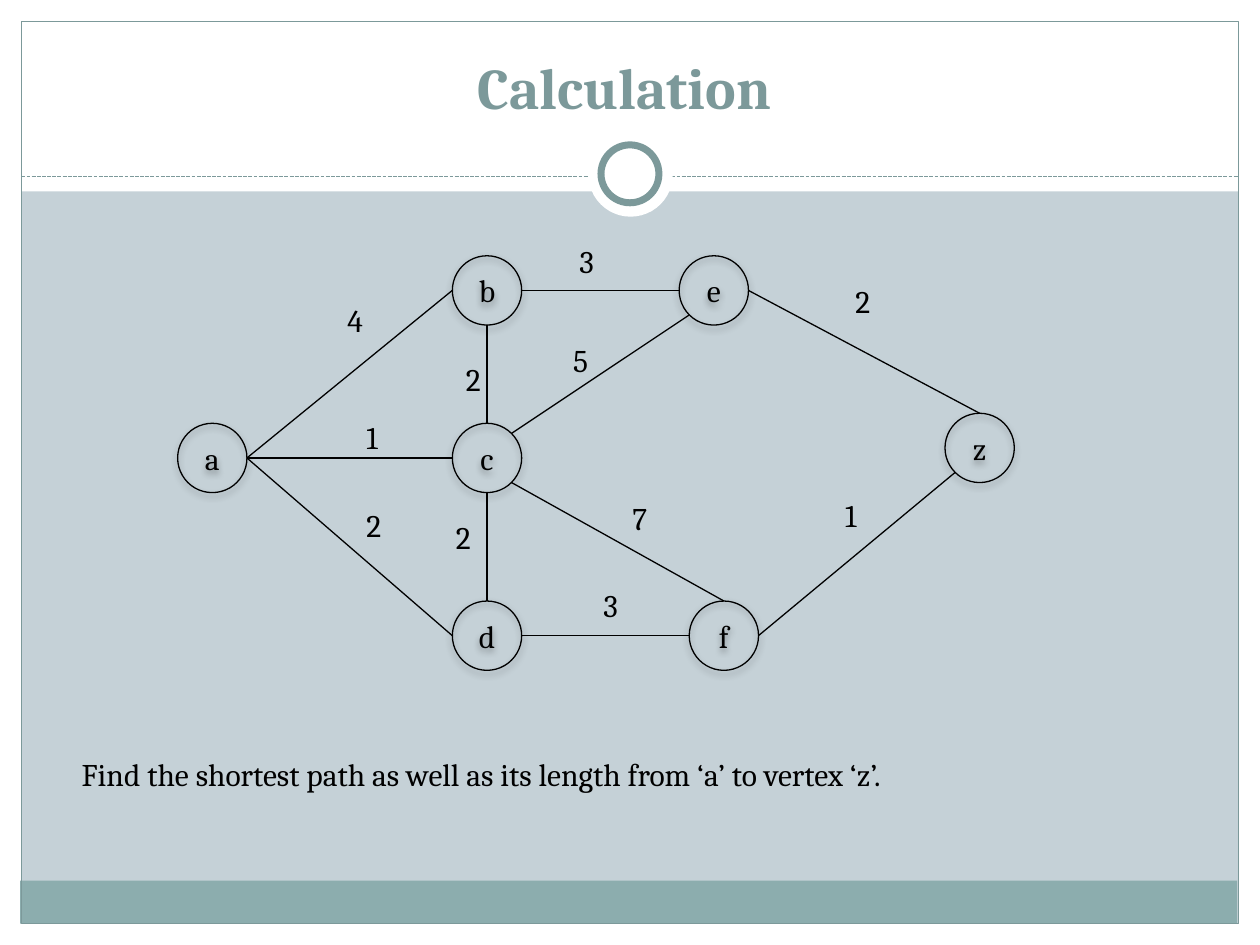
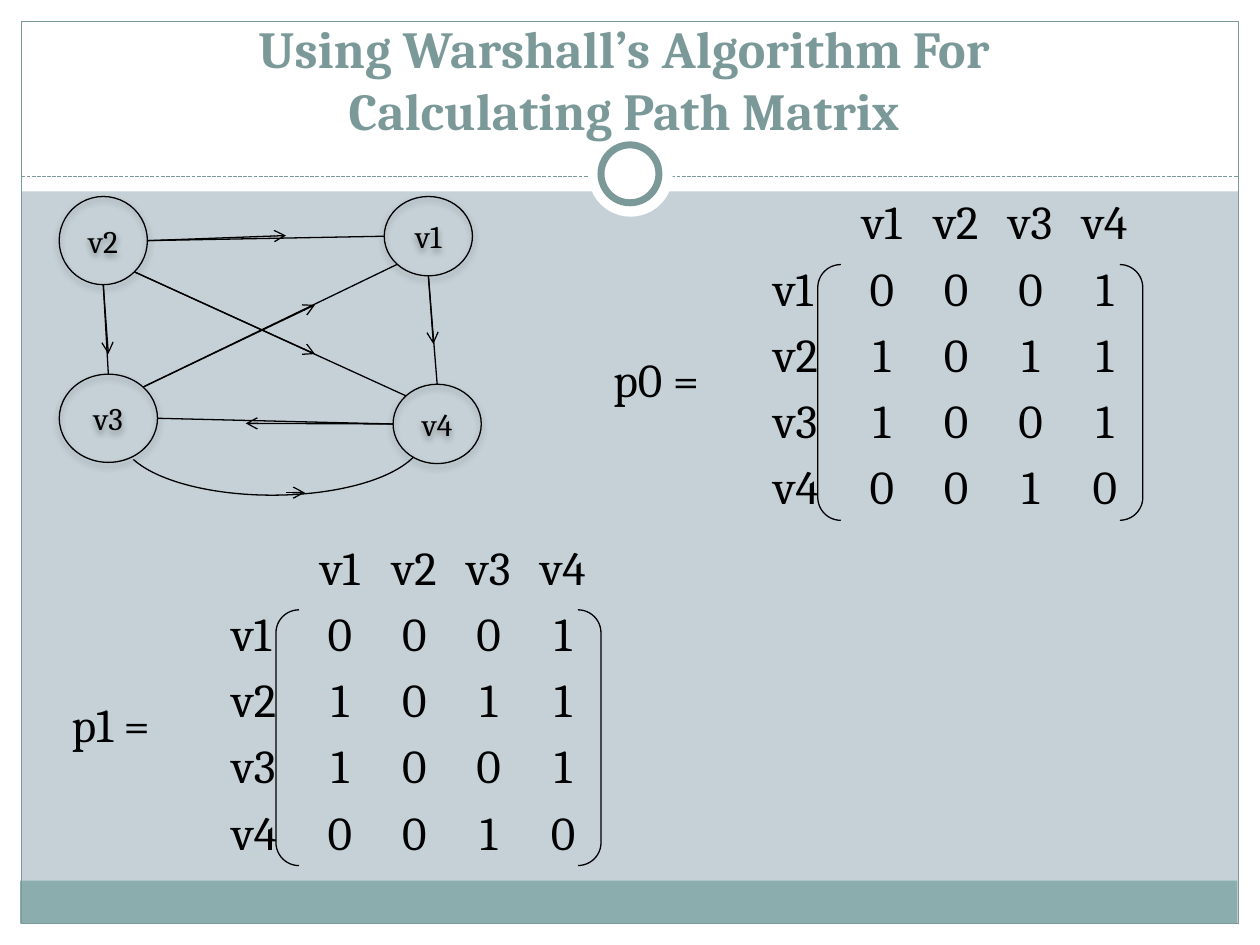
from lxml.etree import SubElement
from pptx import Presentation
from pptx.dml.color import RGBColor
from pptx.enum.dml import MSO_LINE
from pptx.enum.shapes import MSO_CONNECTOR, MSO_SHAPE as SHAPE
from pptx.enum.text import MSO_ANCHOR, MSO_AUTO_SIZE, PP_ALIGN
from pptx.oxml.ns import qn
from pptx.util import Inches, Pt

FONT = "Cambria"
BLACK, WHITE = "000000", "FFFFFF"
TEAL, BAND, PAPER = "7C999A", "8CADAE", "C5D1D7"

# Points on a node's outline, as offsets from its centre in radii
DIAG = 0.71
SITES = {
    "top": (0, -1), "bottom": (0, 1), "left": (-1, 0), "right": (1, 0),
    "top left": (-DIAG, -DIAG), "top right": (DIAG, -DIAG),
    "bottom left": (-DIAG, DIAG), "bottom right": (DIAG, DIAG),
}


def rgb(value):
    return RGBColor.from_string(value)


def site(box, name):
    left, top, width, height = box
    dx, dy = SITES[name]
    return left + width / 2 * (1 + dx), top + height / 2 * (1 + dy)


class Deck:
    def __init__(self):
        self.prs = Presentation()
        self.prs.slide_width, self.prs.slide_height = Inches(10), Inches(7.5)
        self.layout = self.prs.slide_layouts[5]
        self.s = None

    def add_slide(self, title, top, size):
        self.s = self.prs.slides.add_slide(self.layout)
        if len(self.prs.slides) == 1:
            self.build_layout()
        sp = self.s.shapes.title
        sp.left, sp.top, sp.width, sp.height = map(Inches, (1.87, top, 6.17, 0.7))
        tf = sp.text_frame
        tf.auto_size = MSO_AUTO_SIZE.NONE
        tf.vertical_anchor = MSO_ANCHOR.BOTTOM
        p = tf.paragraphs[0]
        p.text = title
        p.alignment = PP_ALIGN.CENTER
        self.style(p, size, TEAL, bold=True)

    def build_layout(self):
        """Draw the shared frame and move it to the layout."""
        fill = self.layout.background.fill
        fill.solid()
        fill.fore_color.rgb = rgb(PAPER)
        margins = [(0, 7.33, 10, 0.17), (0, 0, 10, 1.52),
                   (0, 0, 0.17, 7.5), (9.83, 0, 0.17, 7.5)]
        parts = [self.shape(SHAPE.RECTANGLE, box, WHITE) for box in margins]
        parts.append(self.shape(SHAPE.RECTANGLE, (0.16, 6.99, 9.66, 0.34), BAND))
        parts.append(self.shape(SHAPE.RECTANGLE, (0.17, 0.17, 9.66, 7.16), line=TEAL))
        rule = self.line((0.17, 1.4), (9.83, 1.4), TEAL)
        rule.line.dash_style = MSO_LINE.SQUARE_DOT
        parts.append(rule)
        parts.append(self.shape(SHAPE.OVAL, (4.67, 1.05, 0.67, 0.67), WHITE))
        parts.append(self.shape(SHAPE.OVAL, (4.77, 1.15, 0.46, 0.46), WHITE, TEAL, 4))
        for number, part in enumerate(parts, 100):
            part.element.xpath(".//p:cNvPr")[0].set("id", str(number))
            self.layout.shapes.element.append(part.element)

    def style(self, p, size, color=BLACK, bold=False):
        p.font.name, p.font.size, p.font.bold = FONT, Pt(size), bold
        p.font.color.rgb = rgb(color)

    def shape(self, kind, box, fill=None, line=None, width=0.75):
        sp = self.s.shapes.add_shape(kind, *map(Inches, box))
        sp.shadow.inherit = False
        if fill:
            sp.fill.solid()
            sp.fill.fore_color.rgb = rgb(fill)
        else:
            sp.fill.background()
        if line:
            sp.line.color.rgb = rgb(line)
            sp.line.width = Pt(width)
        else:
            sp.line.fill.background()
        return sp

    def line(self, start, end, color=BLACK, arrow=False):
        cxn = self.s.shapes.add_connector(
            MSO_CONNECTOR.STRAIGHT, *map(Inches, (*start, *end)))
        cxn.line.color.rgb = rgb(color)
        cxn.line.width = Pt(0.75)
        if arrow:
            SubElement(cxn.line._get_or_add_ln(), qn("a:tailEnd"), type="arrow")
        SubElement(cxn.element.spPr, qn("a:effectLst"))
        return cxn

    def node(self, name, box):
        sp = self.shape(SHAPE.OVAL, box, line=BLACK)
        effects = sp.element.spPr.find(qn("a:effectLst"))
        shadow = SubElement(effects, qn("a:outerShdw"), blurRad=str(Pt(4)),
                            dist=str(Pt(2)), dir="5400000", rotWithShape="0")
        color = SubElement(shadow, qn("a:srgbClr"), val=BLACK)
        SubElement(color, qn("a:alpha"), val="35000")
        tf = sp.text_frame
        tf.margin_left = tf.margin_right = 0
        tf.word_wrap = False
        tf.vertical_anchor = MSO_ANCHOR.MIDDLE
        p = tf.paragraphs[0]
        p.text = name
        p.alignment = PP_ALIGN.CENTER
        self.style(p, 18)

    def graph(self, nodes, edges):
        for name, box in nodes.items():
            self.node(name, box)
        for a, a_site, b, b_site in edges:
            self.line(site(nodes[a], a_site), site(nodes[b], b_site))

    def text(self, box, lines, size=18, tabs=()):
        tf = self.s.shapes.add_textbox(*map(Inches, box)).text_frame
        tf.word_wrap = size > 18
        for i, line in enumerate(lines):
            p = tf.add_paragraph() if i else tf.paragraphs[0]
            p.text = line
            if i:
                p.space_before = Pt(size * 0.2)
            if tabs:
                tab_list = SubElement(p._p.get_or_add_pPr(), qn("a:tabLst"))
                for pos in tabs:
                    SubElement(tab_list, qn("a:tab"), pos=str(Inches(pos)), algn="ctr")
            self.style(p, size)

    def matrix(self, name, left, top, vertices, rows):
        """Label, bracketed values and vertex headings, placed from the label."""
        lines = ["\t".join(["", *vertices])]
        lines += ["\t".join([v, *row]) for v, row in zip(vertices, rows)]
        tabs = [0.86 + 0.59 * i for i in range(len(vertices))]
        self.text((left + 1.27, top - 1.25, 3.2, 3.05), lines, 27, tabs)
        bracket = self.shape(SHAPE.DOUBLE_BRACKET,
                             (left + 1.72, top - 0.63, 2.58, 2.03), line=BLACK)
        bracket.adjustments[0] = 0.09
        self.text((left, top, 1.2, 0.6), [f"{name} ="], 27)


def shortest_path_slide(deck):
    deck.add_slide("Calculation", 0.31, 33)
    centres = {
        "a": (1.41, 3.36), "b": (3.59, 2.03), "c": (3.59, 3.36), "d": (3.59, 4.77),
        "e": (5.39, 2.03), "f": (5.47, 4.77), "z": (7.5, 3.28),
    }
    nodes = {name: (*corner, 0.55, 0.55) for name, corner in centres.items()}
    deck.graph(nodes, [
        ("a", "right", "b", "left"), ("a", "right", "c", "left"),
        ("a", "right", "d", "left"), ("b", "right", "e", "left"),
        ("b", "bottom", "c", "top"), ("c", "bottom", "d", "top"),
        ("c", "top right", "e", "bottom left"), ("c", "bottom right", "f", "top"),
        ("d", "right", "f", "left"), ("e", "right", "z", "top"),
        ("f", "right", "z", "bottom left"),
    ])
    weights = [
        ("4", 2.66, 2.34), ("1", 2.81, 3.27), ("2", 2.81, 3.97), ("3", 4.5, 1.87),
        ("2", 3.6, 2.81), ("2", 3.52, 4.06), ("5", 4.45, 2.66), ("7", 4.92, 3.91),
        ("3", 4.69, 4.6), ("2", 6.69, 2.19), ("1", 6.61, 3.89),
    ]
    for weight, left, top in weights:
        deck.text((left, top, 0.34, 0.4), [weight])
    deck.text((0.55, 5.94, 7.19, 0.4),
              ["Find the shortest path as well as its length from ‘a’ to vertex ‘z’."])


def warshall_slide(deck):
    deck.add_slide("Using Warshall’s Algorithm For Calculating Path Matrix", 0.47, 29.7)
    nodes = {
        "v1": (3.05, 1.56, 0.7, 0.63), "v2": (0.47, 1.56, 0.7, 0.7),
        "v3": (0.47, 2.97, 0.78, 0.7), "v4": (3.12, 3.05, 0.7, 0.63),
    }
    deck.graph(nodes, [
        ("v2", "bottom right", "v4", "top left"), ("v3", "right", "v4", "left"),
        ("v2", "right", "v1", "left"), ("v3", "top right", "v1", "bottom left"),
        ("v3", "top", "v2", "bottom"), ("v4", "top", "v1", "bottom"),
    ])
    arc = deck.shape(SHAPE.ARC, (0.96, 2.99, 2.4, 0.94), line=BLACK)
    arc.rotation = 180
    arc.adjustments[0], arc.adjustments[1] = 113.1, 210.23

    arrows = [
        ("v3", "top right", (2.5, 2.42)), ("v2", "right", (2.27, 1.87)),
        ("v2", "bottom right", (2.5, 2.81)), ("v1", "bottom", (3.44, 2.73)),
        ("v4", "left", (1.95, 3.36)), ("v2", "bottom", (0.86, 2.81)),
    ]
    for name, start, tip in arrows:
        deck.line(site(nodes[name], start), tip, arrow=True)
    deck.line((2.27, 3.91), (2.42, 3.91), arrow=True)

    rows = ["0001", "1011", "1001", "0010"]
    deck.matrix("p0", 4.77, 2.73, list(nodes), rows)
    deck.matrix("p1", 0.47, 5.47, list(nodes), rows)


def main():
    deck = Deck()
    shortest_path_slide(deck)
    warshall_slide(deck)
    deck.prs.save("out.pptx")


if __name__ == "__main__":
    main()
